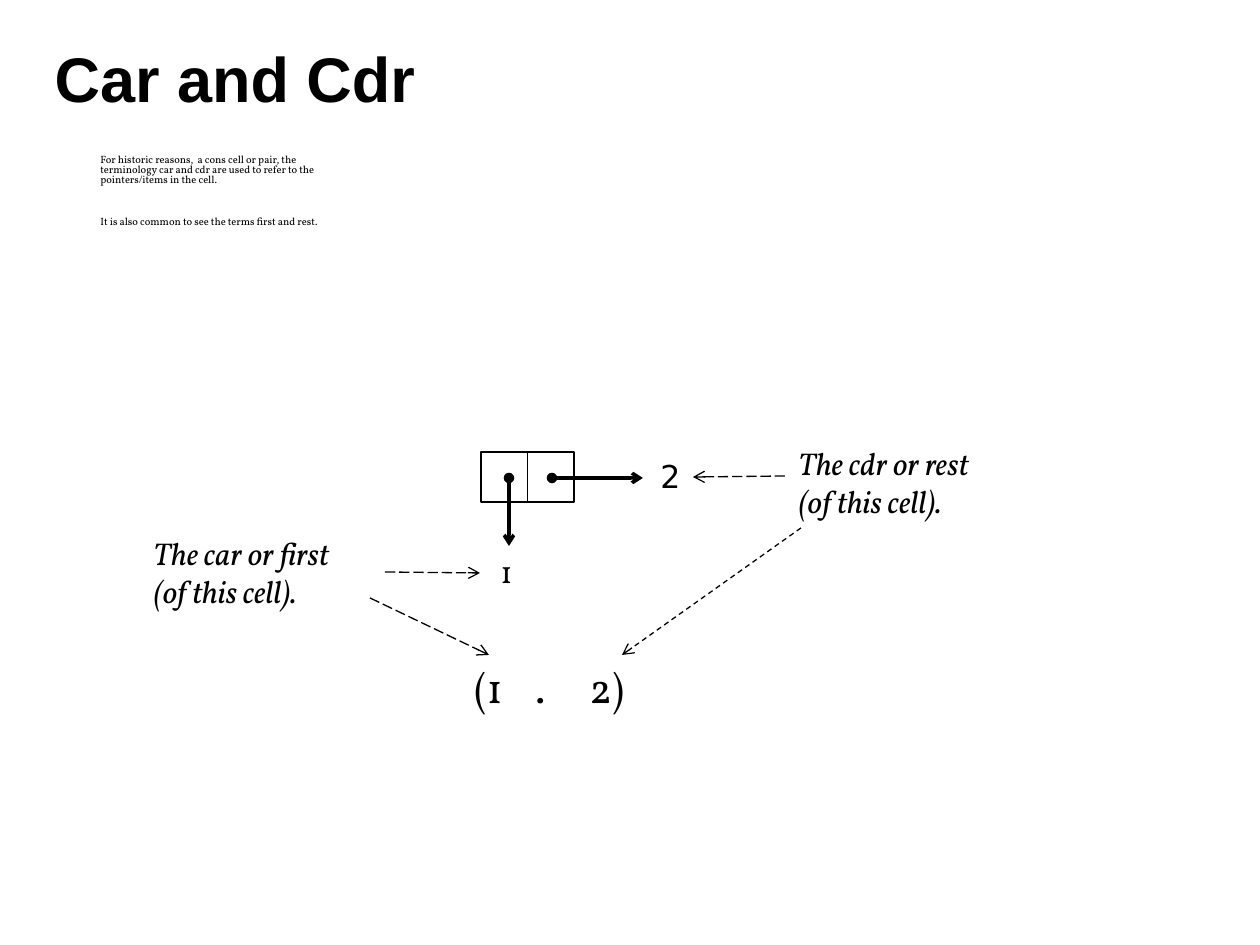
import pptx
import pptx.dml.color
import pptx.enum.dml
import pptx.enum.shapes
import pptx.enum.text
import pptx.oxml
import pptx.oxml.ns
import pptx.util

PX = 914400 // 126
COLORS = {"ink": "000000", "paper": "FFFFFF"}
SERIF, SANS, HEADING = "Vollkorn", "DejaVu Sans", "Arial"
DASH = pptx.enum.dml.MSO_LINE
INK = pptx.dml.color.RGBColor.from_string(COLORS["ink"])


def px(*values):
    return [pptx.util.Emu(v * PX) for v in values]


def sub(parent, tag, **attrs):
    """Append a DrawingML child element."""
    el = pptx.oxml.parse_xml(f"<a:{tag} {pptx.oxml.ns.nsdecls('a')}/>")
    for name, value in attrs.items():
        el.set(name, str(value))
    parent.append(el)
    return el


def fill_text(sp, paragraphs, para=None, tabs=(), anchor="TOP", **font):
    """Write left-aligned paragraphs with one shared format."""
    tf = sp.text_frame
    tf.word_wrap = True
    tf.vertical_anchor = getattr(pptx.enum.text.MSO_ANCHOR, anchor)
    for i, text in enumerate(paragraphs):
        p = tf.paragraphs[0] if i == 0 else tf.add_paragraph()
        p.text = text
        p.alignment = pptx.enum.text.PP_ALIGN.LEFT
        for name, value in (para or {}).items():
            if i or name != "space_before":
                setattr(p, name, value)
        if tabs:
            tab_list = sub(p._p.get_or_add_pPr(), "tabLst")
            for stop in tabs:
                sub(tab_list, "tab", pos=stop * PX, algn="l")
        for r in p.runs:
            for name, value in font.items():
                setattr(r.font, name, value)
            r.font.color.rgb = INK


def add_text(shapes, box, paragraphs, **fmt):
    sp = shapes.add_textbox(*px(*box))
    fill_text(sp, paragraphs, **fmt)
    return sp


def add_line(shapes, start, end, width=0.75, dash=None, head=None, tail=None):
    cx = shapes.add_connector(pptx.enum.shapes.MSO_CONNECTOR.STRAIGHT, *px(*start, *end))
    cx.line.color.rgb = INK
    cx.line.width = pptx.util.Pt(width)
    if dash:
        cx.line.dash_style = dash
    ln = cx.line._get_or_add_ln()
    for tag, kind in (("headEnd", head), ("tailEnd", tail)):
        if kind:
            sub(ln, tag, type=kind)
    sub(cx._element.spPr, "effectLst")
    return cx


def add_title(s, box, text):
    sp = s.shapes.title
    sp.left, sp.top, sp.width, sp.height = px(*box)
    fill_text(sp, [text], anchor="MIDDLE", name=HEADING, size=pptx.util.Pt(36), bold=True)


def add_notes(s, box, paragraphs):
    add_text(s.shapes, box, paragraphs, name=SERIF, size=pptx.util.Pt(6),
             para={"line_spacing": 0.8, "space_before": pptx.util.Pt(18)})


def add_cons_cell(s, box):
    """Two-part cell with a car pointer down and a cdr pointer right."""
    x, y, w, h = box
    shapes = s.shapes.add_group_shape().shapes

    # Cell and divider
    cell = shapes.add_shape(pptx.enum.shapes.MSO_SHAPE.RECTANGLE, *px(*box))
    cell.shadow.inherit = False
    cell.fill.background()
    cell.line.color.rgb = INK
    cell.line.width = pptx.util.Pt(0.75)
    divider = add_line(shapes, (x + w // 2, y), (x + w // 2, y + h))
    divider.begin_connect(cell, 0)
    divider.end_connect(cell, 2)

    # Values
    size = pptx.util.Pt(18)
    car = add_text(shapes, (x + 7, y + 94, 42, 50), ["1"], name=SERIF, size=size)
    add_text(shapes, (x + 167, y - 1, 42, 50), ["2"], name=SANS, size=size)

    # Pointers
    pointer = {"width": 2, "head": "oval", "tail": "arrow"}
    mid = y + 26
    add_line(shapes, (x + 71, mid), (x + 162, mid), **pointer)
    down = add_line(shapes, (x + 28, mid), (x + 28, y + 94), **pointer)
    down.end_connect(car, 0)


def add_dotted_pair(s, box):
    add_text(s.shapes, box, ["(1\t.\t2)"], tabs=(61, 115),
             name=SERIF, size=pptx.util.Pt(24))


def add_callout(s, box, text, arrows):
    """Italic label and its dashed arrows, given relative to the label."""
    x, y = box[:2]
    label = add_text(s.shapes, box, [text], name=SERIF,
                     size=pptx.util.Pt(18), italic=True)
    lines = [add_line(s.shapes, (x + x1, y + y1), (x + x2, y + y2), dash=dash, tail="arrow")
             for x1, y1, x2, y2, dash in arrows]
    return label, lines


def main():
    prs = pptx.Presentation()
    prs.slide_width, prs.slide_height = px(1260, 945)
    s = prs.slides.add_slide(prs.slide_layouts[5])
    s.background.fill.solid()
    s.background.fill.fore_color.rgb = pptx.dml.color.RGBColor.from_string(COLORS["paper"])

    add_title(s, (42, 19, 998, 117), "Car and Cdr")
    add_notes(s, (88, 149, 1090, 57), [
        "For historic reasons,  a cons cell or pair, the\v"
        "terminology car and cdr are used to refer to the\v"
        "pointers/items in the cell.",
        "It is also common to see the terms first and rest.",
    ])
    add_cons_cell(s, (481, 452, 93, 50))
    add_dotted_pair(s, (462, 655, 223, 74))

    car, car_arrows = add_callout(
        s, (141, 528, 244, 88), "The car or first\v(of this cell).",
        [(244, 44, 339, 45, DASH.LONG_DASH), (229, 70, 348, 127, DASH.LONG_DASH)])
    car_arrows[0].begin_connect(car, 3)
    add_callout(
        s, (786, 438, 241, 88), "The cdr or rest\v(of this cell).",
        [(-1, 38, -93, 39, DASH.LONG_DASH), (15, 90, -164, 217, DASH.DASH)])

    prs.save("out.pptx")


if __name__ == "__main__":
    main()
